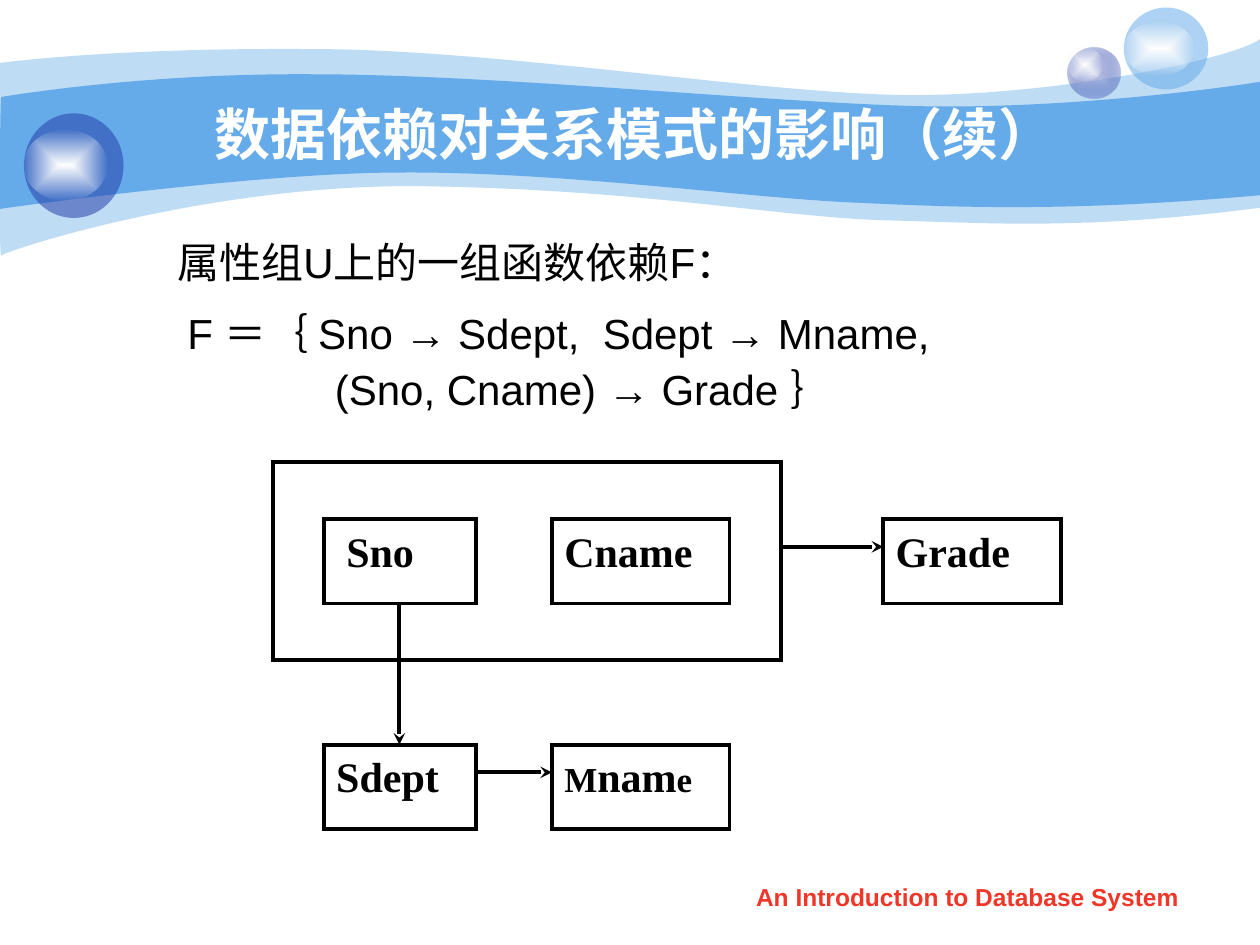
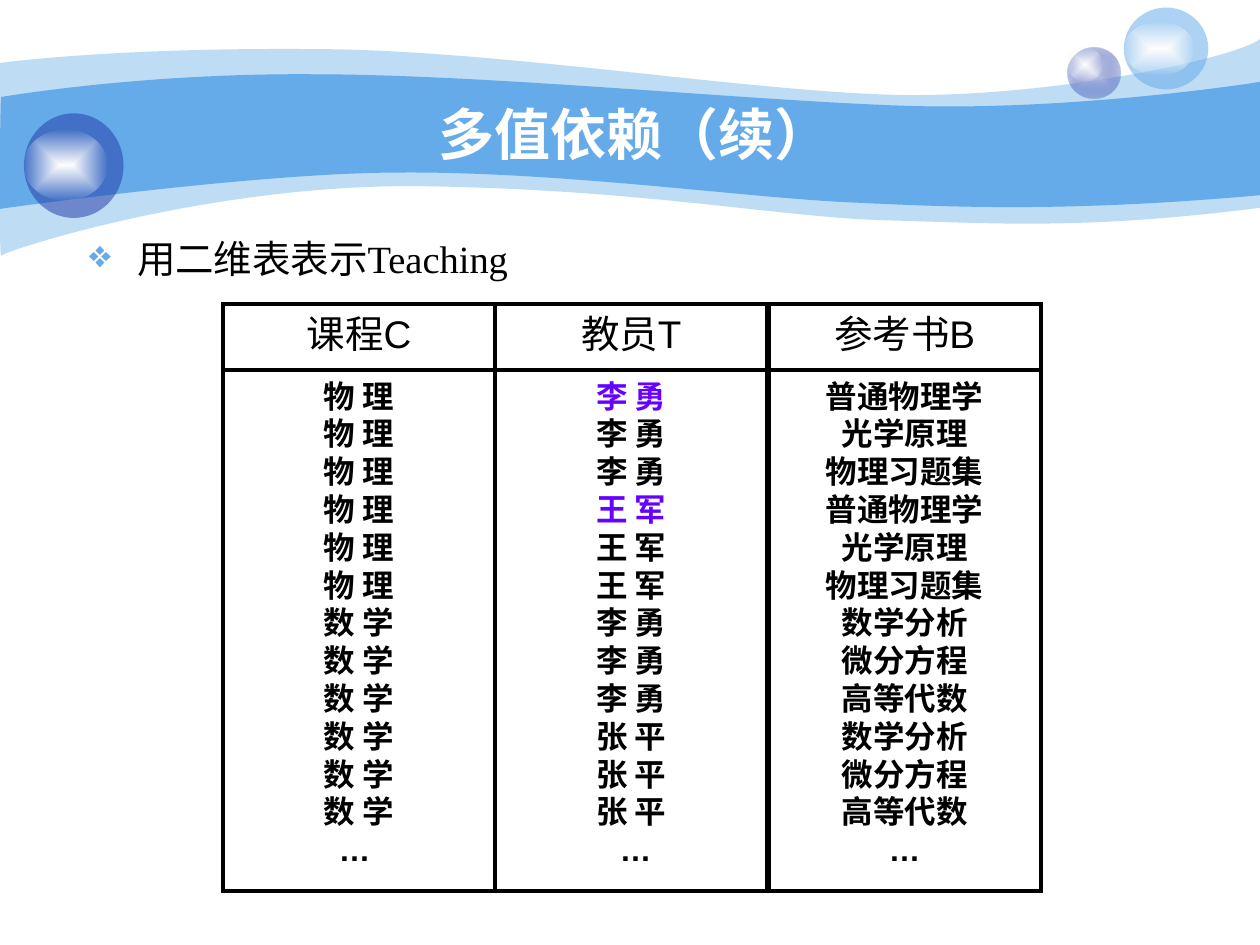
"""Build two database course slides: a dependency diagram and a teaching table."""
from lxml import etree
from pptx import Presentation
from pptx.dml.color import RGBColor
from pptx.enum.shapes import MSO_CONNECTOR, MSO_SHAPE
from pptx.enum.text import MSO_ANCHOR, PP_ALIGN
from pptx.oxml import parse_xml
from pptx.oxml.ns import nsdecls, qn
from pptx.util import Inches, Pt

LEFT, CENTER = PP_ALIGN.LEFT, PP_ALIGN.CENTER
TOP, MIDDLE = MSO_ANCHOR.TOP, MSO_ANCHOR.MIDDLE
RECT, OVAL = MSO_SHAPE.RECTANGLE, MSO_SHAPE.OVAL
LINE = MSO_CONNECTOR.STRAIGHT

HEX = {
    "sky": "65AAE9", "navy": "233DA9", "mist": "C7CEE9", "white": "FFFFFF",
    "black": "000000", "red": "F03628", "violet": "6600FF",
}
FONTS = {
    "title": {"name": "Arial", "size": Pt(32), "bold": True},
    "foot": {"name": "Arial", "size": Pt(14), "bold": True},
    "body": {"name": "Arial", "size": Pt(24), "bold": False},
    "node": {"name": "Times New Roman", "size": Pt(24), "bold": True},
    "point": {"name": "Times New Roman", "size": Pt(22), "bold": False},
    "head": {"name": "Arial", "size": Pt(22), "bold": False},
    "cell": {"name": "Arial", "size": Pt(18), "bold": True},
}
STROKE = Pt(2.25)


def write(frame, lines, style, color="black", align=LEFT):
    """Write each line, a list of (text, changes) runs, in one style."""
    frame.word_wrap = True
    for num, runs in enumerate(lines):
        para = frame.add_paragraph() if num else frame.paragraphs[0]
        para.alignment = align
        for text, change in runs:
            run = para.add_run()
            run.text = text
            form = {"color": color, **FONTS[style], **change}
            run.font.color.rgb = RGBColor.from_string(HEX[form.pop("color")])
            for key, val in form.items():
                setattr(run.font, key, val)
    return frame.paragraphs


def paint(shape, stops):
    """Fill a shape with one colour or a gradient of (colour, opacity) stops."""
    tints = [f'<a:srgbClr val="{HEX[name]}"><a:alpha val="{part * 1000}"/></a:srgbClr>'
             for name, part in stops]
    if len(tints) == 1:
        xml = f'<a:solidFill {nsdecls("a")}>{tints[0]}</a:solidFill>'
    else:
        marks = "".join(f'<a:gs pos="{pos}">{tint}</a:gs>'
                        for pos, tint in zip((0, 100000), tints))
        xml = (f'<a:gradFill {nsdecls("a")} rotWithShape="1"><a:gsLst>{marks}</a:gsLst>'
               '<a:path path="rect"><a:fillToRect l="50000" t="50000" r="50000" b="50000"/>'
               '</a:path></a:gradFill>')
    shape._element.spPr.append(parse_xml(xml))
    shape.line.fill.background()
    shape.shadow.inherit = False


WAVES = [
    ([("sky", 41)], (0, 0.5), [
        (0.24, 0.47, 1.07, 0.38, 2.47, 0.39), (3.86, 0.39, 5.75, 0.7, 6.99, 0.75),
        (8.22, 0.8, 9.8, 0.47, 10, 0.31), (10, 1.65),
        (8.58, 1.83, 7.87, 1.77, 7.05, 1.75), (6.22, 1.73, 5.15, 1.51, 3.43, 1.48),
        (1.72, 1.44, 0.04, 1.99, 0.01, 2.03), (-0.01, 2.08, 0, 0.75, 0, 0.5)]),
    ([("sky", 100)], (0.01, 0.77), [
        (0.02, 0.77, 1.1, 0.58, 2.48, 0.59), (3.86, 0.59, 5.95, 0.8, 7.18, 0.84),
        (8.41, 0.88, 9.76, 0.69, 10, 0.65), (10, 1.55),
        (8.53, 1.68, 7.65, 1.65, 6.82, 1.61), (5.99, 1.58, 4.47, 1.36, 3.17, 1.37),
        (2.03, 1.37, -0.02, 1.66, -0.01, 1.66), (0, 1.66, 0, 0.77, 0.01, 0.77)]),
]
SHINE = [("white", 100), ("white", 0)]
BALLS = [
    ((8.47, 0.38, 0.42, 0.4), [("mist", 100), ("navy", 31)]),
    ((8.47, 0.38, 0.28, 0.27), SHINE),
    ((8.92, 0.06, 0.67, 0.65), [("sky", 53)]),
    ((8.92, 0.17, 0.56, 0.43), SHINE),
    ((0.19, 0.9, 0.79, 0.83), [("navy", 53)]),
    ((0.19, 1.03, 0.66, 0.56), SHINE),
]

deck = Presentation()
deck.slide_width, deck.slide_height = Inches(10), Inches(7.5)
slides = []
for title in ("数据依赖对关系模式的影响（续）", "多值依赖（续）"):
    slide = deck.slides.add_slide(deck.slide_layouts[6])
    slides.append(slide)
    for stops, start, parts in WAVES:
        dots = [tuple(map(Inches, part[at:at + 2]))
                for part in parts for at in range(0, len(part), 2)]
        pen = slide.shapes.build_freeform(*map(Inches, start))
        pen.add_line_segments(dots, close=True)
        wave = pen.convert_to_shape()
        legs = iter(wave._element.findall(".//" + qn("a:lnTo")))
        for part in parts:
            leg = next(legs)
            if len(part) == 6:
                curve = etree.Element(qn("a:cubicBezTo"))
                leg.addprevious(curve)
                for side in (leg, next(legs), next(legs)):
                    curve.append(side[0])
                    side.getparent().remove(side)
        paint(wave, stops)
    for place, stops in BALLS:
        paint(slide.shapes.add_shape(OVAL, *map(Inches, place)), stops)
    box = slide.shapes.add_textbox(*map(Inches, (1, 0.75, 8.08, 0.62)))
    box.text_frame.vertical_anchor = MIDDLE
    write(box.text_frame, [[(title, {})]], "title", "white", CENTER)

graph, teach = slides

foot = graph.shapes.add_textbox(*map(Inches, (5.71, 6.98, 3.94, 0.35)))
para = write(foot.text_frame, [[("An Introduction to Database System", {})]],
             "foot", "red", CENTER)[0]
para.line_spacing, para.space_before = 0.9, Pt(3.5)

BODY = [
    ("属性组U上的一组函数依赖F：", 0.23, {"space_before": Pt(6)}),
    ("F ＝｛ Sno → Sdept,  Sdept → Mname,", 0.31,
     {"space_before": Pt(6), "line_spacing": 1.2}),
    ("(Sno, Cname) → Grade ｝", 1.48, {"space_before": Pt(3)}),
]
body = graph.shapes.add_textbox(*map(Inches, (1.08, 1.83, 8.5, 4.5)))
paras = write(body.text_frame, [[(text, {})] for text, _, _ in BODY], "body")
for para, (_, indent, form) in zip(paras, BODY):
    para._p.get_or_add_pPr().set("marL", str(Inches(indent)))
    for key, val in form.items():
        setattr(para, key, val)

UPPER, LOWER, TALL = 4.12, 5.91, 0.67
SMALL = {"size": Pt(20)}
NODES = [
    ((2.17, 3.67, 4.03, 1.57), []),
    ((2.57, UPPER, 1.21, TALL), [("Sno", {})]),
    ((4.38, UPPER, 1.41, TALL), [("Cname", {})]),
    ((2.57, LOWER, 1.21, TALL), [("Sdept", {})]),
    ((4.38, LOWER, 1.41, TALL), [("M", SMALL), ("nam", {}), ("e", SMALL)]),
    ((7.01, UPPER, 1.41, TALL), [("Grade", {})]),
]
boxes = [(graph, place, [runs], "node", LEFT) for place, runs in NODES]

PHYSICS = ["普通物理学", "光学原理", "物理习题集"]
MATHS = ["数学分析", "微分方程", "高等代数"]
FOCUS = {"color": "violet"}
COLS = [
    ("课程C", ["物 理"] * 6 + ["数 学"] * 6 + ["… "]),
    ("教员T", [name for name in ("李 勇", "王 军", "李 勇", "张 平")
             for _ in range(3)] + [" …"]),
    ("参考书B", PHYSICS * 2 + MATHS * 2 + ["…"]),
]
EDGES = [1.77, 3.93, 6.1, 8.26]
HEAD, DATA, END = 2.41, 2.94, 7.07
WIDE = 2.16
for left, (_, texts) in zip(EDGES, COLS):
    lines = [[(text, FOCUS if left == EDGES[1] and row in (0, 3) else {})]
             for row, text in enumerate(texts)]
    boxes.append((teach, (left, DATA, WIDE, END - DATA), lines, "cell", CENTER))
for left, (name, _) in zip(EDGES, COLS):
    boxes.append((teach, (left, HEAD, WIDE, DATA - HEAD), [[(name, {})]], "head", CENTER))

for slide, place, lines, style, align in boxes:
    box = slide.shapes.add_shape(RECT, *map(Inches, place))
    box.fill.background()
    box.line.color.rgb = RGBColor.from_string(HEX["black"])
    box.line.width = STROKE
    etree.SubElement(box.line._get_or_add_ln(), qn("a:miter"), lim="800000")
    box.shadow.inherit = False
    box.text_frame.vertical_anchor = TOP
    para = write(box.text_frame, lines, style, align=align)[0]
    if style == "head":
        para.space_before = Pt(5.5)
    if para.text == "Sno":
        para._p.get_or_add_pPr().set("marL", str(Inches(0.08)))

ARROWS = [(3.17, 4.79, 3.17, 5.91), (3.78, 6.13, 4.38, 6.13), (6.2, 4.34, 7.01, 4.34)]
RULES = [(EDGES[0], y, EDGES[-1], y) for y in (DATA, END)]
RULES += [(x, HEAD, x, END) for x in EDGES[1:]]
RULES += [(EDGES[0], DATA, EDGES[0], END), (EDGES[0], HEAD, EDGES[0], DATA)]
for slide, group, tip in ((graph, ARROWS, "stealth"), (teach, RULES, None)):
    for ends in group:
        rule = slide.shapes.add_connector(LINE, *map(Inches, ends))
        rule.line.color.rgb = RGBColor.from_string(HEX["black"])
        rule.line.width = STROKE
        if tip:
            etree.SubElement(rule.line._get_or_add_ln(), qn("a:tailEnd"), type=tip)
        etree.SubElement(rule._element.spPr, qn("a:effectLst"))

point = teach.shapes.add_textbox(*map(Inches, (0.61, 1.82, 3.61, 0.47)))
para = write(point.text_frame, [[("用二维表表示Teaching", {})]], "point")[0]
props = para._p.get_or_add_pPr()
props.set("marL", str(Inches(0.38)))
props.set("indent", str(Inches(-0.38)))
tint = etree.SubElement(props, qn("a:buClr"))
etree.SubElement(tint, qn("a:srgbClr"), val=HEX["sky"])
etree.SubElement(props, qn("a:buChar"), char="❖")

deck.save("out.pptx")
